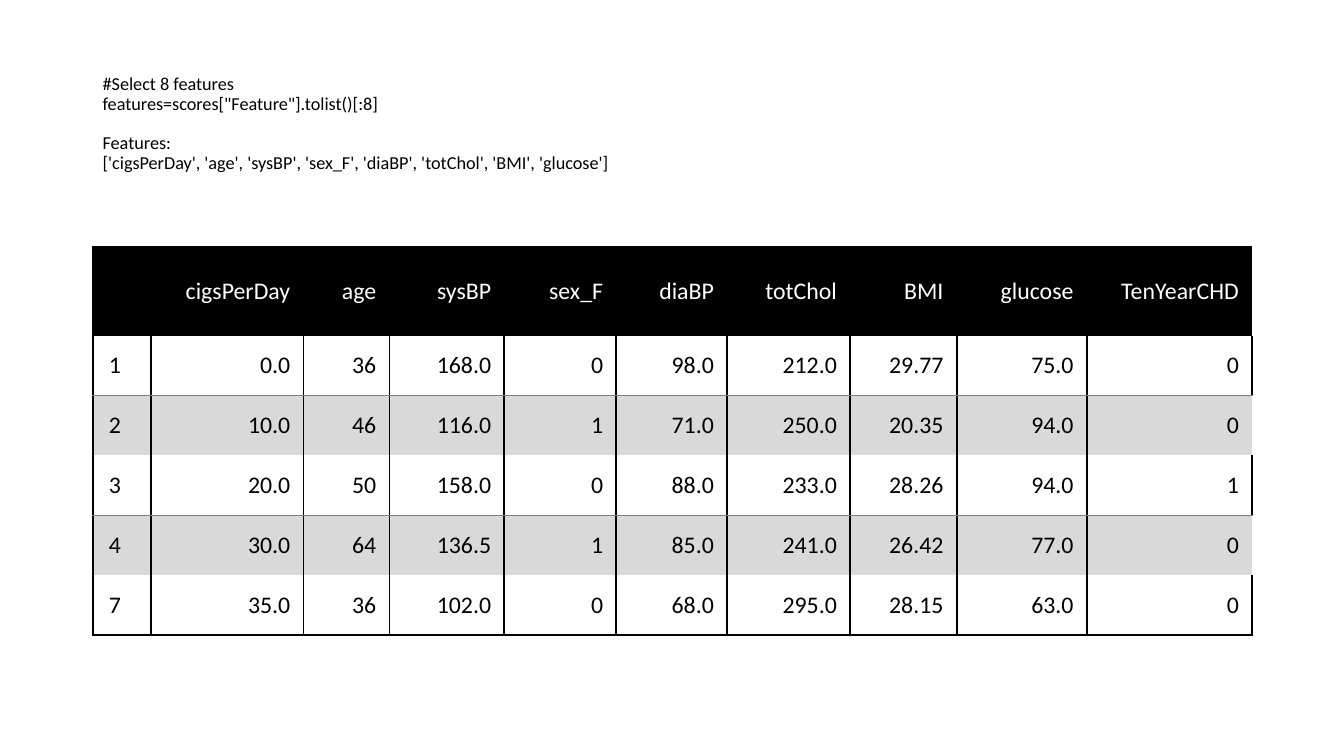
from dataclasses import dataclass

from lxml.etree import SubElement
from pptx import Presentation
from pptx.dml.color import RGBColor
from pptx.enum.text import MSO_ANCHOR, PP_ALIGN
from pptx.oxml.ns import qn
from pptx.util import Inches, Length, Pt

COLORS = {"black": "000000", "white": "FFFFFF", "band": "D9D9D9", "rule": "808080"}
FONT = "Calibri"
SLIDE_WIDTH, SLIDE_HEIGHT = Inches(13.33), Inches(7.5)


@dataclass(frozen=True)
class Edge:
    color: str
    points: float


@dataclass(frozen=True)
class CodeLine:
    text: str
    gap_before: float = 0


@dataclass(frozen=True)
class Feature:
    heading: str
    width: float  # percent of the slide's width
    values: tuple[str, ...]


HEAVY = Edge("black", 1.5)
THIN = Edge("rule", 0.5)

CODE = (
    CodeLine("#Select 8 features"),
    CodeLine('features=scores["Feature"].tolist()[:8]'),
    CodeLine("Features:", gap_before=14),
    CodeLine("['cigsPerDay', 'age', 'sysBP', 'sex_F', 'diaBP', 'totChol', 'BMI', 'glucose']"),
)

FEATURES = (
    Feature("", 4.35, ("1", "2", "3", "4", "7")),
    Feature("cigsPerDay", 11.33, ("0.0", "10.0", "20.0", "30.0", "35.0")),
    Feature("age", 6.4, ("36", "46", "50", "64", "36")),
    Feature("sysBP", 8.55, ("168.0", "116.0", "158.0", "136.5", "102.0")),
    Feature("sex_F", 8.33, ("0", "1", "0", "1", "0")),
    Feature("diaBP", 8.25, ("98.0", "71.0", "88.0", "85.0", "68.0")),
    Feature("totChol", 9.15, ("212.0", "250.0", "233.0", "241.0", "295.0")),
    Feature("BMI", 7.93, ("29.77", "20.35", "28.26", "26.42", "28.15")),
    Feature("glucose", 9.68, ("75.0", "94.0", "94.0", "77.0", "63.0")),
    Feature("TenYearCHD", 12.3, ("0", "0", "1", "0", "0")),
)
HEADER_HEIGHT, PATIENT_HEIGHT = 11.73, 7.92  # percent of the slide's height
LAST_ROW = len(FEATURES[0].values)
LAST_COLUMN = len(FEATURES) - 1


def across(percent: float) -> Length:
    return Length(round(SLIDE_WIDTH * percent / 100))


def down(percent: float) -> Length:
    return Length(round(SLIDE_HEIGHT * percent / 100))


def rgb(color: str) -> RGBColor:
    return RGBColor.from_string(COLORS[color])


def format_runs(paragraph, size: float, color: str) -> None:
    for run in paragraph.runs:
        run.font.name = FONT
        run.font.size = Pt(size)
        run.font.color.rgb = rgb(color)


def cell_edges(row: int, column: int) -> dict[str, Edge | None]:
    """Edges of a table cell, in the order left, right, top, bottom."""
    if row == 0:
        return {
            "lnL": HEAVY if column == 0 else None,
            "lnR": None,
            "lnT": HEAVY,
            "lnB": None,
        }
    banded = row % 2 == 0
    below = HEAVY if row == LAST_ROW else THIN
    return {
        "lnL": HEAVY,
        "lnR": None if banded and column == LAST_COLUMN else HEAVY,
        "lnT": THIN if banded else None,
        "lnB": None if banded else below,
    }


def draw_edges(cell, edges: dict[str, Edge | None]) -> None:
    properties = cell._tc.get_or_add_tcPr()
    for tag, edge in edges.items():
        line = SubElement(properties, qn(f"a:{tag}"))
        if edge is None:
            line.set("w", "0")
            SubElement(line, qn("a:noFill"))
        else:
            line.set("w", str(Pt(edge.points)))
            fill = SubElement(line, qn("a:solidFill"))
            SubElement(fill, qn("a:srgbClr")).set("val", COLORS[edge.color])


def fill_cell(cell, text: str, row: int, column: int) -> None:
    draw_edges(cell, cell_edges(row, column))
    cell.fill.solid()
    body_fill = "white" if row % 2 else "band"
    cell.fill.fore_color.rgb = rgb("black" if row == 0 else body_fill)
    cell.vertical_anchor = MSO_ANCHOR.MIDDLE
    cell.margin_left = across(1.2)
    cell.margin_right = across(0.98)
    cell.margin_top = cell.margin_bottom = down(1.73)
    cell.text_frame.text = text
    paragraph = cell.text_frame.paragraphs[0]
    paragraph.alignment = PP_ALIGN.RIGHT if column else PP_ALIGN.LEFT
    format_runs(paragraph, 17, "white" if row == 0 else "black")


def add_code(slide) -> None:
    code = slide.shapes.add_textbox(across(6.9), down(8.13), across(86.27), down(16.53))
    frame = code.text_frame
    frame.word_wrap = True
    frame.vertical_anchor = MSO_ANCHOR.MIDDLE
    frame.text = "\n".join(line.text for line in CODE)
    for paragraph, line in zip(frame.paragraphs, CODE):
        paragraph.line_spacing = 0.9
        paragraph.space_before = Pt(line.gap_before)
        format_runs(paragraph, 13, "black")


def add_patients(slide) -> None:
    width = sum(feature.width for feature in FEATURES)
    height = HEADER_HEIGHT + LAST_ROW * PATIENT_HEIGHT
    patients = slide.shapes.add_table(
        LAST_ROW + 1, len(FEATURES), across(6.9), down(32.67), across(width), down(height)
    ).table
    patients.first_row = False
    patients.horz_banding = False
    for index, row in enumerate(patients.rows):
        row.height = down(PATIENT_HEIGHT if index else HEADER_HEIGHT)
    for column, feature in enumerate(FEATURES):
        patients.columns[column].width = across(feature.width)
        for row, text in enumerate((feature.heading, *feature.values)):
            fill_cell(patients.cell(row, column), text, row, column)


def main() -> None:
    deck = Presentation()
    deck.slide_width, deck.slide_height = SLIDE_WIDTH, SLIDE_HEIGHT
    slide = deck.slides.add_slide(deck.slide_layouts[6])

    # Feature selection code
    add_code(slide)

    # Patients by selected feature
    add_patients(slide)

    deck.save("out.pptx")


if __name__ == "__main__":
    main()
